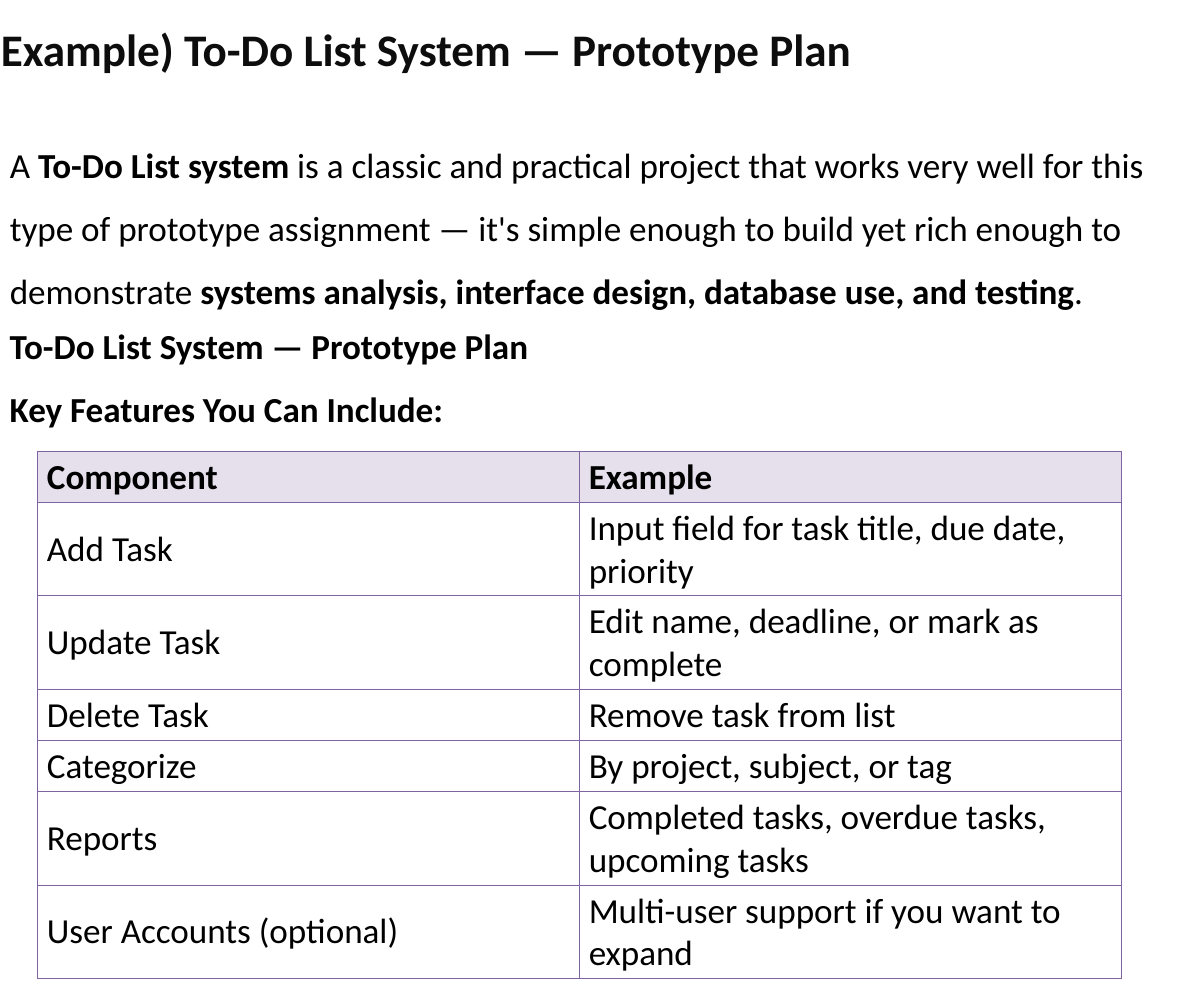
"""Build the To-Do List prototype plan slide."""
from lxml import etree
from pptx import Presentation, util as u
from pptx.dml.color import RGBColor
from pptx.enum import text
from pptx.oxml import ns

WIDTH, HEIGHT = u.Pt(960), u.Pt(792)
FONT = "Calibri"
COLORS = {"title": "0D0D0D", "body": "000000", "paper": "FFFFFF",
          "header": "E6E0EC", "border": "8064A2"}

TITLE = [[("Example) To-Do List System — Prototype Plan", True)]]
INTRO = [[
    ("A ", False),
    ("To-Do List system", True),
    (" is a classic and practical project that works very well for this type of "
     "prototype assignment — it's simple enough to build yet rich enough to "
     "demonstrate ", False),
    ("systems analysis, interface design, database use, and testing", True),
    (".", False),
]]
HEADINGS = [[("To-Do List System — Prototype Plan", True)],
            [("Key Features You Can Include:", True)]]
FEATURES = [
    ("Component", "Example"),
    ("Add Task", "Input field for task title, due date, priority"),
    ("Update Task", "Edit name, deadline, or mark as complete"),
    ("Delete Task", "Remove task from list"),
    ("Categorize", "By project, subject, or tag"),
    ("Reports", "Completed tasks, overdue tasks, upcoming tasks"),
    ("User Accounts (optional)", "Multi-user support if you want to expand"),
]
LINE_CHARACTERS = 30
ONE_LINE, TWO_LINES = 0.56, 1.03
COLUMN_WIDTH = 6


def color(name):
    return RGBColor.from_string(COLORS[name])


def style(font, size, name, bold=None):
    font.name, font.size, font.bold = FONT, u.Pt(size), bold
    font.color.rgb = color(name)


def add_text(slide, box, paragraphs, size=28, name="body", spacing=1.5, wrap=True):
    shape = slide.shapes.add_textbox(*map(u.Inches, box))
    frame = shape.text_frame
    frame.word_wrap = wrap
    frame.vertical_anchor = text.MSO_ANCHOR.MIDDLE
    for index, runs in enumerate(paragraphs):
        paragraph = frame.paragraphs[0] if index == 0 else frame.add_paragraph()
        paragraph.line_spacing = spacing
        for words, bold in runs:
            run = paragraph.add_run()
            run.text = words
            style(run.font, size, name, bold)
    return shape


def add_title(slide):
    shape = add_text(slide, (0.01, 0.02, WIDTH.inches, 0.82), TITLE, 36, "title", 1.0)
    shape.fill.solid()
    shape.fill.fore_color.rgb = color("paper")
    frame = shape.text_frame
    frame.vertical_anchor = text.MSO_ANCHOR.BOTTOM
    frame.margin_left = frame.margin_right = frame.margin_top = frame.margin_bottom = 0


def add_borders(cell):
    properties = cell._tc.get_or_add_tcPr()
    for side in ("a:lnL", "a:lnR", "a:lnT", "a:lnB"):
        line = etree.SubElement(properties, ns.qn(side), w=str(u.Pt(1)))
        fill = etree.SubElement(line, ns.qn("a:solidFill"))
        etree.SubElement(fill, ns.qn("a:srgbClr"), val=COLORS["border"])


def add_features(slide):
    heights = [TWO_LINES if len(example) > LINE_CHARACTERS else ONE_LINE
               for _, example in FEATURES]
    columns = len(FEATURES[0])
    box = (0.42, 5, columns * COLUMN_WIDTH, sum(heights))
    table = slide.shapes.add_table(len(FEATURES), columns, *map(u.Inches, box)).table
    for row, (height, values) in enumerate(zip(heights, FEATURES)):
        table.rows[row].height = u.Inches(height)
        for column, value in enumerate(values):
            cell = table.cell(row, column)
            cell.text = value
            cell.vertical_anchor = text.MSO_ANCHOR.MIDDLE
            style(cell.text_frame.paragraphs[0].font, 28, "body", row == 0)
            add_borders(cell)
            if row == 0:
                cell.fill.solid()
                cell.fill.fore_color.rgb = color("header")
            else:
                cell.fill.background()


def main():
    presentation = Presentation()
    presentation.slide_width = WIDTH
    presentation.slide_height = HEIGHT
    slide = presentation.slides.add_slide(presentation.slide_layouts[6])
    add_title(slide)
    add_text(slide, (0.01, 1.33, WIDTH.inches, 2.15), INTRO)
    add_features(slide)
    add_text(slide, (0.01, 3.34, 6.07, 1.44), HEADINGS, wrap=False)
    presentation.save("out.pptx")


if __name__ == "__main__":
    main()
